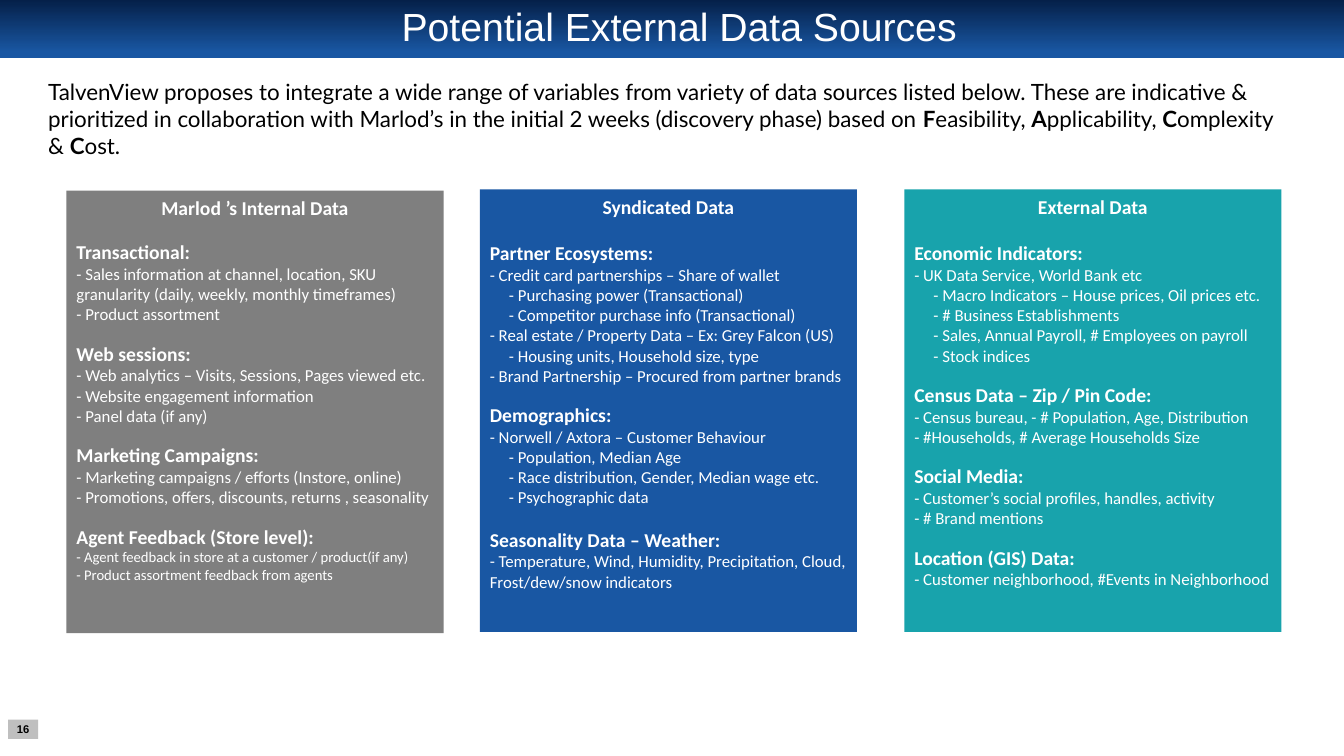
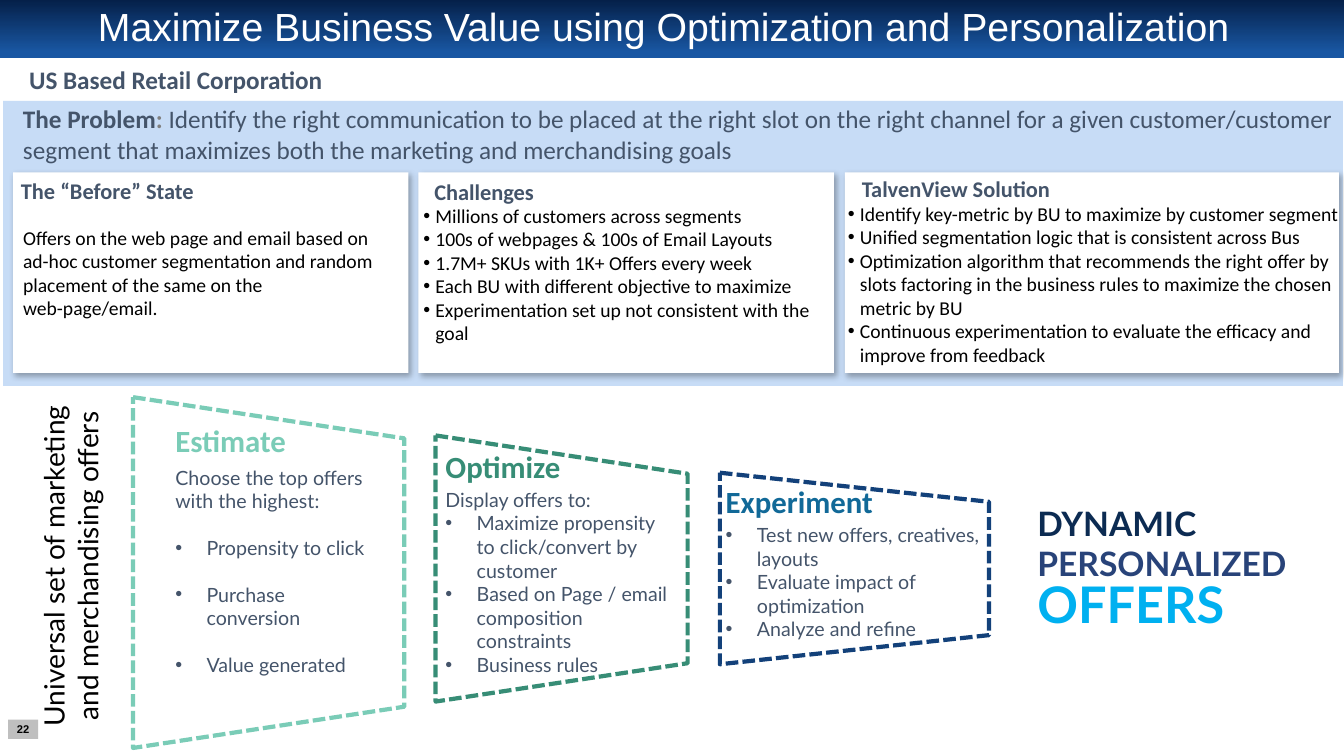
from dataclasses import dataclass

from pptx import Presentation
from pptx.dml.color import RGBColor
from pptx.enum.dml import MSO_LINE
from pptx.enum.shapes import MSO_SHAPE as Preset
from pptx.enum.text import MSO_ANCHOR as Anchor, PP_ALIGN as Align
from pptx.oxml import parse_xml
from pptx.oxml.ns import nsdecls
from pptx.util import Inches, Pt


@dataclass(frozen=True)
class Theme:
    """Colours, fonts and type sizes."""
    white: str = "FFFFFF"
    black: str = "000000"
    navy: str = "052049"
    blue: str = "1957A3"
    grey: str = "7F7F7F"
    teal: str = "18A3AC"
    slate: str = "44546A"
    colon: str = "808080"
    badge: str = "BFBFBF"
    sky: str = "C7DCF6"
    mint: str = "7ACCB7"
    green: str = "378D76"
    royal: str = "13417A"
    ocean: str = "116998"
    midnight: str = "0C2B52"
    indigo: str = "284379"
    cyan: str = "00B0F0"
    title_font: str = "Arial"
    body_font: str = "Calibri"
    accent_font: str = "Lato"
    title: int = 28
    stage: int = 22
    vertical: int = 20
    problem: int = 18
    lead: int = 16
    body: int = 14
    detail: int = 12
    small: float = 10.5
    number: int = 8
    dynamic: int = 24
    offers: int = 36


@dataclass(frozen=True)
class Section:
    """A headed group of lines; a nested list holds indented lines."""
    heading: str
    lines: list
    gap: float = 12.5
    size: float = Theme.detail


THEME = Theme()


def rgb(code):
    """Turn a hex code into a colour."""
    return RGBColor.from_string(code)


def write(frame, text, size=THEME.body, color=THEME.black, bold=False, font=THEME.body_font,
          align=Align.LEFT, before=0, left=0, hang=0, spacing=None):
    """Add a paragraph from a string or from (string, overrides) runs."""
    para = frame.paragraphs[0] if not frame.text else frame.add_paragraph()
    if left:
        props = para._p.get_or_add_pPr()
        props.set("marL", str(Inches(left)))
        props.set("indent", str(Inches(-hang)))
        if hang:
            props.append(parse_xml(f'<a:buFont {nsdecls("a")} typeface="Arial"/>'))
            props.append(parse_xml(f'<a:buChar {nsdecls("a")} char="•"/>'))
    para.alignment = align
    if before:
        para.space_before = Pt(before)
    if spacing:
        para.line_spacing = spacing
    for part, changes in [(text, {})] if isinstance(text, str) else text:
        style = {"color": color, "bold": bold} | changes
        run = para.add_run()
        run.text = part
        run.font.name, run.font.size, run.font.bold = font, Pt(size), style["bold"]
        run.font.color.rgb = rgb(style["color"])


class Deck:
    """Holds the style and the current slide."""

    def __init__(self, theme):
        """Start a widescreen presentation."""
        self.theme = theme
        self.show = Presentation()
        self.show.slide_width, self.show.slide_height = Inches(13.33), Inches(7.5)
        self.slide = None

    def frame(self, shape, anchor=Anchor.TOP, wrap=True, insets=(0.1, 0.05, 0.1, 0.05)):
        """Set up the text frame of a shape."""
        frame = shape.text_frame
        frame.word_wrap, frame.vertical_anchor = wrap, anchor
        (frame.margin_left, frame.margin_top,
         frame.margin_right, frame.margin_bottom) = map(Inches, insets)
        return frame

    def box(self, at, rotation=0, **setup):
        """Add a text box and return its frame."""
        shape = self.slide.shapes.add_textbox(*map(Inches, at))
        shape.rotation = rotation
        return self.frame(shape, **setup)

    def block(self, at, fill=None, preset=Preset.RECTANGLE):
        """Add a plain shape without outline or shadow."""
        shape = self.slide.shapes.add_shape(preset, *map(Inches, at))
        shape.shadow.inherit = False
        shape.line.fill.background()
        if fill:
            shape.fill.solid()
            shape.fill.fore_color.rgb = rgb(fill)
        else:
            shape.fill.background()
        return shape

    def page(self, title, title_at, number):
        """Add a slide with its band, title and number."""
        t = self.theme
        self.slide = self.show.slides.add_slide(self.show.slide_layouts[6])
        band = self.block((0, 0, 13.33, 0.58))
        band.fill.gradient()
        band.fill.gradient_angle = 270
        for stop, color, position in zip(band.fill.gradient_stops, (t.navy, t.blue), (0, 0.9)):
            stop.color.rgb, stop.position = rgb(color), position
        write(self.box(title_at, anchor=Anchor.MIDDLE), title, size=t.title, color=t.white,
              font=t.title_font, align=Align.CENTER, spacing=0.9)
        badge = self.block((0.08, 7.14, 0.3, 0.19), t.badge)
        write(self.frame(badge, Anchor.MIDDLE, False, (0, 0, 0, 0)), number, size=t.number,
              bold=True, font=t.title_font, align=Align.CENTER)

    def panel(self, left, top, fill, title, sections):
        """Add a coloured panel of sections."""
        t = self.theme
        frame = self.frame(self.block((left, top, 3.74, 4.39), fill))
        write(frame, title, color=t.white, bold=True, align=Align.CENTER)
        for section in sections:
            write(frame, section.heading, color=t.white, bold=True, before=section.gap)
            for line in section.lines:
                nested = isinstance(line, list)
                for entry in line if nested else [line]:
                    write(frame, entry, size=section.size, color=t.white,
                          left=0.19 if nested else 0)

    def card(self, left, width):
        """Add a white card with a soft shadow."""
        card = self.block((left, 1.71, width, 1.99), self.theme.white)
        effects = card._element.spPr.find("{http://schemas.openxmlformats.org/drawingml/2006/main}effectLst")
        effects.append(parse_xml(
            f'<a:outerShdw {nsdecls("a")} blurRad="{Pt(4.5)}" dist="{Pt(2.6)}" dir="{53 * 60000}" '
            f'algn="tl" rotWithShape="0"><a:srgbClr val="{self.theme.black}">'
            '<a:alpha val="30000"/></a:srgbClr></a:outerShdw>'))
        return card

    def label(self, at, text, **style):
        """Add a bold label."""
        write(self.box(at), text, **({"size": self.theme.lead, "color": self.theme.slate,
                                      "bold": True} | style))

    def bullets(self, frame, items, hang, **style):
        """Write bulleted lines."""
        for item in items:
            write(frame, item, left=hang, hang=hang, **style)

    def stage(self, outline, color, name, name_at, name_color, text_at, intro, items, gap=0):
        """Add a dashed funnel stage with its text."""
        t = self.theme
        left, top, width, height = outline
        turned = (left + (width - height) / 2, top + (height - width) / 2, height, width)
        funnel = self.block(turned, preset=Preset.TRAPEZOID)
        funnel.adjustments[0] = 0.152
        funnel.rotation = 90
        funnel.line.color.rgb = rgb(color)
        funnel.line.width = Pt(3)
        funnel.line.dash_style = MSO_LINE.SQUARE_DOT
        self.label(name_at, name, size=t.stage, color=name_color)
        frame = self.box(text_at)
        style = {"color": t.slate, "font": t.accent_font}
        if intro:
            write(frame, intro, **style)
        self.bullets(frame, items, 0.31, before=gap, **style)


def data_sources(deck):
    """Build the slide on data sources."""
    t = deck.theme
    deck.page("Potential External Data Sources", (0.14, 0.06, 13.19, 0.45), "16")
    strong = {"bold": True}
    write(deck.box((0.38, 0.73, 12.51, 0.91)), [
        ("TalvenView proposes to integrate a wide range of variables from variety of data sources "
         "listed below. These are indicative & prioritized in collaboration with Marlod’s in the "
         "initial 2 weeks (discovery phase) based on ", {}),
        ("F", strong), ("easibility, ", {}), ("A", strong), ("pplicability, ", {}),
        ("C", strong), ("omplexity & ", {}), ("C", strong), ("ost.", {}),
    ], size=t.lead, font=t.accent_font)
    deck.panel(0.66, 1.89, t.grey, "Marlod ’s Internal Data", [
        Section("Transactional:", [
            "- Sales information at channel, location, SKU granularity (daily, weekly, monthly timeframes)",
            "- Product assortment"], gap=15),
        Section("Web sessions:", [
            "- Web analytics – Visits, Sessions, Pages viewed etc.",
            "- Website engagement information", "- Panel data (if any)"]),
        Section("Marketing Campaigns:", [
            "- Marketing campaigns / efforts (Instore, online)",
            "- Promotions, offers, discounts, returns , seasonality"]),
        Section("Agent Feedback (Store level):", [
            "- Agent feedback in store at a customer / product(if any)",
            "- Product assortment feedback from agents"], size=t.small)])
    deck.panel(4.76, 1.88, t.blue, "Syndicated Data", [
        Section("Partner Ecosystems:", [
            "- Credit card partnerships – Share of wallet",
            ["- Purchasing power (Transactional)", "- Competitor purchase info (Transactional)"],
            "- Real estate / Property Data – Ex: Grey Falcon (US)",
            ["- Housing units, Household size, type"],
            "- Brand Partnership – Procured from partner brands"], gap=16.5),
        Section("Demographics:", [
            "- Norwell / Axtora – Customer Behaviour",
            ["- Population, Median Age", "- Race distribution, Gender, Median wage etc.",
             "- Psychographic data"]]),
        Section("Seasonality Data – Weather:", [
            "- Temperature, Wind, Humidity, Precipitation, Cloud, Frost/dew/snow indicators"], gap=14.5)])
    deck.panel(8.97, 1.88, t.teal, "External Data", [
        Section("Economic Indicators:", [
            "- UK Data Service, World Bank etc",
            ["- Macro Indicators – House prices, Oil prices etc.", "- # Business Establishments",
             "- Sales, Annual Payroll, # Employees on payroll", "- Stock indices"]], gap=16.5),
        Section("Census Data – Zip / Pin Code:", [
            "- Census bureau, - # Population, Age, Distribution",
            "- #Households, # Average Households Size"]),
        Section("Social Media:", [
            "- Customer’s social profiles, handles, activity", "- # Brand mentions"]),
        Section("Location (GIS) Data:", ["- Customer neighborhood, #Events in Neighborhood"])])


def business_value(deck):
    """Build the slide on optimization and personalization."""
    t = deck.theme
    deck.page("Maximize Business Value using Optimization and Personalization",
              (0.6, 0.06, 11.96, 0.45), "22")
    deck.label((0.19, 0.59, 6.48, 0.37), "US Based Retail Corporation", size=t.problem)
    deck.block((0.03, 1, 13.29, 2.83), t.sky)
    problem = deck.box((0.13, 1.01, 13.2, 0.64), anchor=Anchor.MIDDLE, insets=(0.1, 0.05, 0, 0.05))
    write(problem, [
        ("The Problem", {"bold": True}), (": ", {"bold": True, "color": t.colon}),
        ("Identify the right communication to be placed at the right slot on the right channel "
         "for a given customer/customer", {})], size=t.problem, color=t.slate)
    write(problem, "segment that maximizes both the marketing and merchandising goals",
          size=t.problem, color=t.slate)

    before_state, *_ = [deck.card(*span) for span in ((0.13, 3.92), (4.15, 4.12), (8.38, 4.9))]
    write(deck.frame(before_state, Anchor.MIDDLE),
          "Offers on the web page and email based on ad-hoc customer segmentation and random "
          "placement of the same on the web-page/email.")
    deck.label((0.11, 1.71, 2.77, 0.37), "The “Before” State")
    deck.label((4.21, 1.72, 2.77, 0.37), "Challenges")
    deck.label((8.45, 1.69, 2.33, 0.37), "TalvenView Solution")
    deck.bullets(deck.box((4.1, 1.97, 4.14, 1.75)), [
        "Millions of customers across segments", "100s of webpages & 100s of Email Layouts",
        "1.7M+ SKUs with 1K+ Offers every week", "Each BU with different objective to maximize",
        "Experimentation set up not consistent with the goal"], 0.12)
    deck.bullets(deck.box((8.31, 1.95, 5.02, 1.75), insets=(0.1, 0.05, 0, 0.05)), [
        "Identify key-metric by BU to maximize by customer segment",
        "Unified segmentation logic that is consistent across Bus",
        "Optimization algorithm that recommends the right offer by slots factoring in the "
        "business rules to maximize the chosen metric by BU",
        "Continuous experimentation to evaluate the efficacy and improve from feedback"], 0.12)

    offers_set = deck.box((-1.37, 5.23, 4.14, 0.77), rotation=270)
    for line in ("Universal set of marketing", "and merchandising offers"):
        write(offers_set, line, size=t.vertical, font=t.accent_font, align=Align.CENTER)
    deck.stage((1.32, 3.94, 2.69, 3.48), t.mint, "Estimate", (1.64, 4.13, 1.55, 0.47), t.mint,
               (1.64, 4.57, 2.25, 2.22), "Choose the top offers with the highest:",
               ["Propensity to click", "Purchase conversion", "Value generated"], gap=16.5)
    deck.stage((4.32, 4.32, 2.5, 2.64), t.green, "Optimize", (4.32, 4.39, 1.55, 0.47), t.green,
               (4.32, 4.79, 2.5, 1.99), "Display offers to:",
               ["Maximize propensity to click/convert by customer",
                "Based on Page / email composition constraints", "Business rules"])
    deck.stage((7.14, 4.69, 2.67, 1.9), t.royal, "Experiment", (7.1, 4.74, 1.9, 0.47), t.ocean,
               (7.1, 5.14, 3, 1.28), None,
               ["Test new offers, creatives, layouts", "Evaluate impact of optimization",
                "Analyze and refine"])
    deck.label((10.19, 4.94, 2.76, 0.91),
               [("DYNAMIC", {}), (" PERSONALIZED", {"color": t.indigo})],
               size=t.dynamic, color=t.midnight, font=t.accent_font)
    deck.label((10.19, 5.64, 3.01, 0.71), "OFFERS", size=t.offers, color=t.cyan, font=t.accent_font)


def main():
    """Build and save the presentation."""
    deck = Deck(THEME)
    data_sources(deck)
    business_value(deck)
    deck.show.save("out.pptx")


if __name__ == "__main__":
    main()
